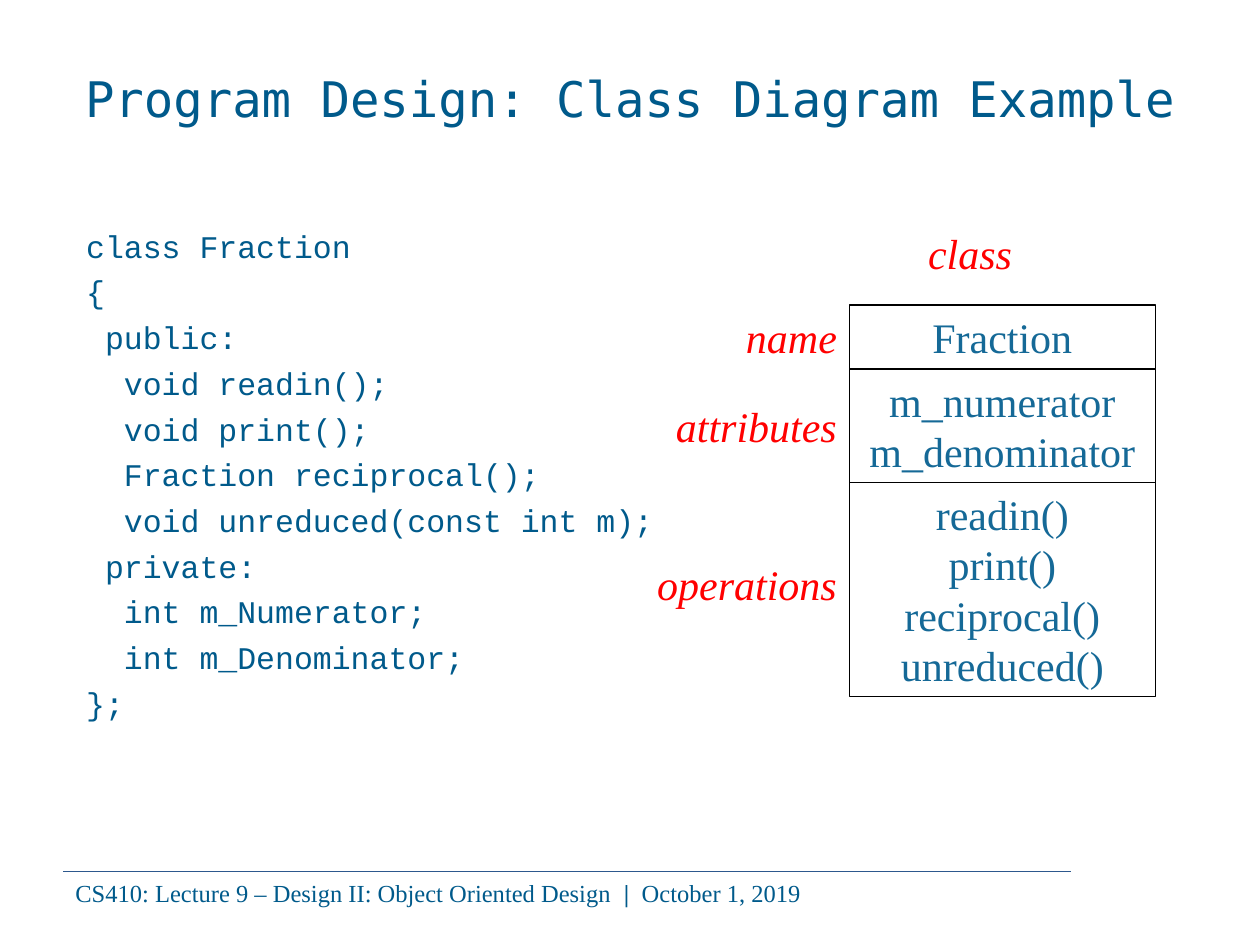
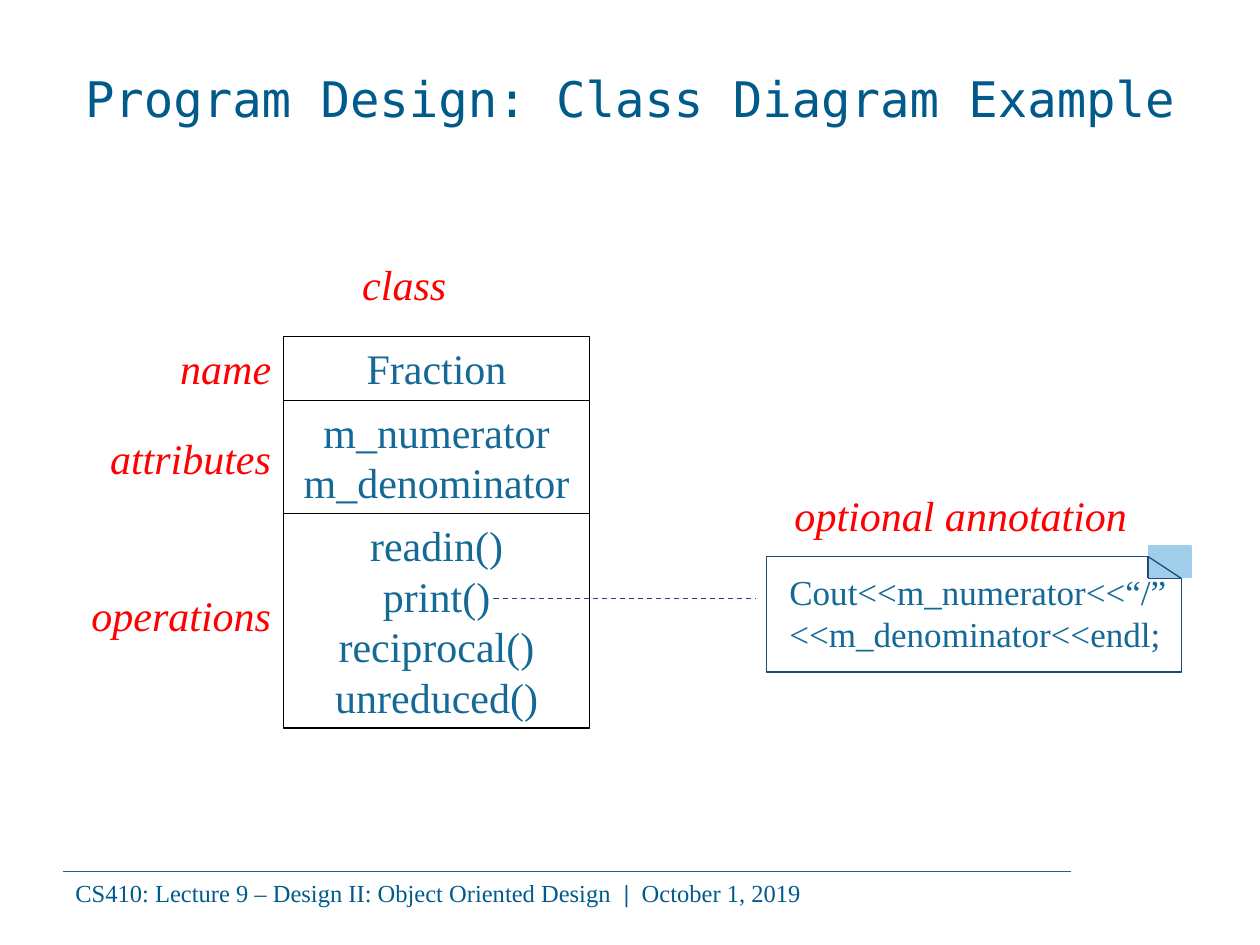
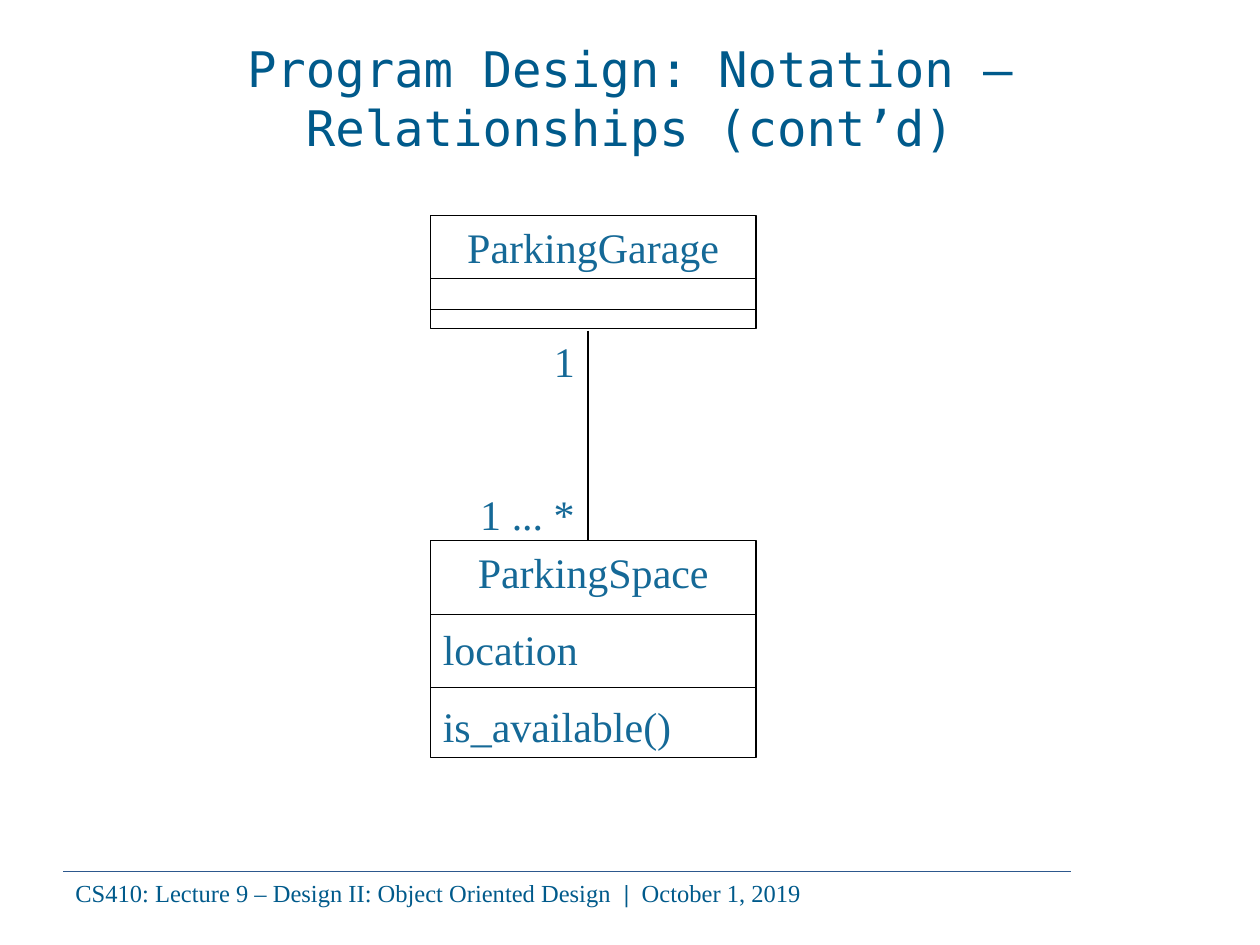
"""Build three slides on class diagrams and their notation."""
from lxml import etree
from pptx import Presentation
from pptx.dml.color import RGBColor
from pptx.enum.dml import MSO_LINE
from pptx.enum.shapes import MSO_CONNECTOR, MSO_SHAPE
from pptx.enum.text import MSO_ANCHOR, MSO_AUTO_SIZE, PP_ALIGN
from pptx.oxml.ns import qn
from pptx.util import Pt

LEFT, CENTER, RIGHT = PP_ALIGN.LEFT, PP_ALIGN.CENTER, PP_ALIGN.RIGHT
TOP, MIDDLE = MSO_ANCHOR.TOP, MSO_ANCHOR.MIDDLE
NO_AUTOFIT = MSO_AUTO_SIZE.NONE
RECTANGLE, STRAIGHT = MSO_SHAPE.RECTANGLE, MSO_CONNECTOR.STRAIGHT
DASH = MSO_LINE.DASH

COLORS = {
    "heading": "005A8B",
    "text": "156997",
    "label": "FF0000",
    "outline": "000000",
    "note": "1F497D",
    "fold": "A0CEEA",
    "rule": "2D588D",
}
SERIF, MONO, CODE = "Times New Roman", "DejaVu Sans Mono", "Courier New"
CODE_CHAR = 10.8


def style(p, size, color, font=SERIF, align=LEFT, before=0, italic=False):
    p.alignment = align
    p.space_before = Pt(before)
    p.line_spacing = Pt(size * 1.2)
    for r in p.runs:
        r.font.name = font
        r.font.size = Pt(size)
        r.font.italic = italic
        r.font.color.rgb = RGBColor.from_string(COLORS[color])


def add_box(s, x, y, w, h, text="", color="text", align=CENTER, before=0,
            size=24, outline=None, fill=None):
    place = Pt(x), Pt(y), Pt(w), Pt(h)
    if outline:
        sp = s.shapes.add_shape(RECTANGLE, *place)
        sp.shadow.inherit = False
        sp.line.color.rgb = RGBColor.from_string(COLORS[outline])
        sp.line.width = Pt(0.75)
        if fill:
            sp.fill.solid()
            sp.fill.fore_color.rgb = RGBColor.from_string(COLORS[fill])
        else:
            sp.fill.background()
    else:
        sp = s.shapes.add_textbox(*place)
    tf = sp.text_frame
    tf.word_wrap = True
    tf.vertical_anchor = TOP
    tf.text = text
    for p in tf.paragraphs:
        style(p, size, color, align=align, before=before, italic=color == "label")
    return sp


prs = Presentation()
prs.slide_width, prs.slide_height = Pt(720), Pt(540)

example = "Program Design: Class Diagram Example"
titles = [(1, example), (5, example),
          (5, "Program Design: Notation – Relationships (cont’d)")]
lines = []
for layout, title in titles:
    s = prs.slides.add_slide(prs.slide_layouts[layout])
    sp = s.shapes.title
    sp.left, sp.top, sp.width, sp.height = Pt(36), Pt(21.6), Pt(648), Pt(68.4)
    tf = sp.text_frame
    tf.text = title
    tf.auto_size = NO_AUTOFIT
    tf.vertical_anchor = MIDDLE
    style(tf.paragraphs[0], 28, "heading", MONO, CENTER)

    footer = add_box(s, 36, 498, 588, 24.5)
    p = footer.text_frame.paragraphs[0]
    for text in ("CS410: Lecture 9 – Design II: Object Oriented Design  ",
                 "|  ", "October 1, 2019"):
        r = p.add_run()
        r.text = text
        r.font.bold = text.startswith("|")
    style(p, 14, "heading")
    lines.append((s, 36, 498, 612, 498, "rule", 0.5, None))

code_slide, note_slide, garage_slide = prs.slides

code = [
    (0, "class Fraction"),
    (0, "{"),
    (1, "public:"),
    (2, "void readin();"),
    (2, "void print();"),
    (2, "Fraction reciprocal();"),
    (2, "void unreduced(const int m);"),
    (1, "private:"),
    (2, "int m_Numerator;"),
    (2, "int m_Denominator;"),
    (0, "};"),
]
body = code_slide.placeholders[1]
body.left, body.top, body.width, body.height = Pt(42), Pt(126), Pt(342), Pt(356.4)
tf = body.text_frame
tf.text = "\n".join(text for _, text in code)
tf.auto_size = NO_AUTOFIT
for p, (depth, _) in zip(tf.paragraphs, code):
    style(p, 18, "heading", CODE, before=4.5)
    pPr = p._p.get_or_add_pPr()
    pPr.set("marL", str(Pt(depth * CODE_CHAR)))
    pPr.set("indent", "0")
    etree.SubElement(pPr, qn("a:buNone"))

compartments = [
    (0, 36.4, "Fraction"),
    (36.4, 64.8, "m_numerator\nm_denominator"),
    (101.2, 122.4, "readin()\nprint()\nreciprocal()\nunreduced()"),
]
labels = [
    (-6, -48, 150, CENTER, "class"),
    (-90, 0, 90, RIGHT, "name"),
    (-150, 51, 150, RIGHT, "attributes"),
    (-144, 141, 144, RIGHT, "operations"),
]
for s, x, y in ((code_slide, 485.3, 174.4), (note_slide, 162, 192.4)):
    for dy, h, text in compartments:
        add_box(s, x, y + dy, 175, h, text, outline="outline")
    for dx, dy, w, align, text in labels:
        add_box(s, x + dx, y + dy, w, 36.4, text, "label", align)

add_box(note_slide, 438, 318, 237, 66, outline="note")
add_box(note_slide, 656.6, 312, 24, 18, outline="fold", fill="fold")
add_box(note_slide, 444, 322.5, 230.4, 55.4,
        "Cout<<m_numerator<<“/”<<m_denominator<<endl;", align=LEFT, size=20)
add_box(note_slide, 432, 276, 234, 36.4, "optional annotation", "label")
lines += [
    (note_slide, 656, 318, 675, 330.5, "note", 0.75, None),
    (note_slide, 656, 318, 656, 330.5, "note", 0.75, None),
    (note_slide, 656, 330.5, 675, 330.5, "note", 0.75, None),
    (note_slide, 282, 342, 432, 342, "note", 0.75, DASH),
]

add_box(garage_slide, 246, 123, 186, 64.8, "ParkingGarage", outline="outline")
space = add_box(garage_slide, 246, 309, 186, 124,
                "ParkingSpace\nlocation\nis_available()", before=15, outline="outline")
for p in space.text_frame.paragraphs[1:]:
    p.alignment = LEFT
counts = add_box(garage_slide, 263.5, 188, 72, 124, "1\n1 ... *", align=RIGHT)
counts.text_frame.paragraphs[1].space_before = Pt(58.8)
for y in (159, 177, 351, 393):
    lines.append((garage_slide, 246, y, 432, y, "outline", 0.75, None))
lines.append((garage_slide, 336, 189, 336, 309, "outline", 0.75, None))

for s, x1, y1, x2, y2, color, width, dash in lines:
    c = s.shapes.add_connector(STRAIGHT, Pt(x1), Pt(y1), Pt(x2), Pt(y2))
    c.line.color.rgb = RGBColor.from_string(COLORS[color])
    c.line.width = Pt(width)
    if dash:
        c.line.dash_style = dash
    etree.SubElement(c._element.spPr, qn("a:effectLst"))

prs.save("out.pptx")
